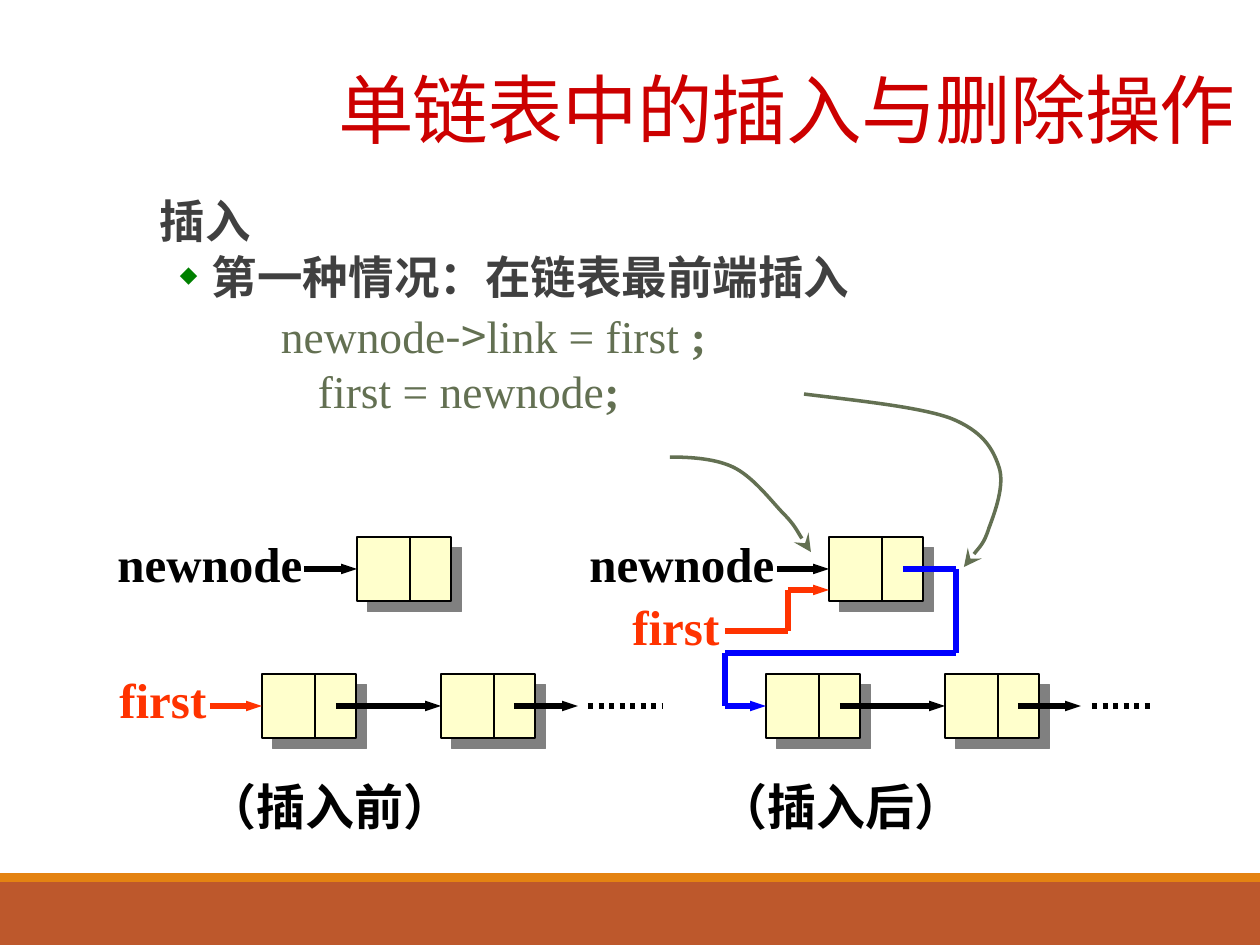
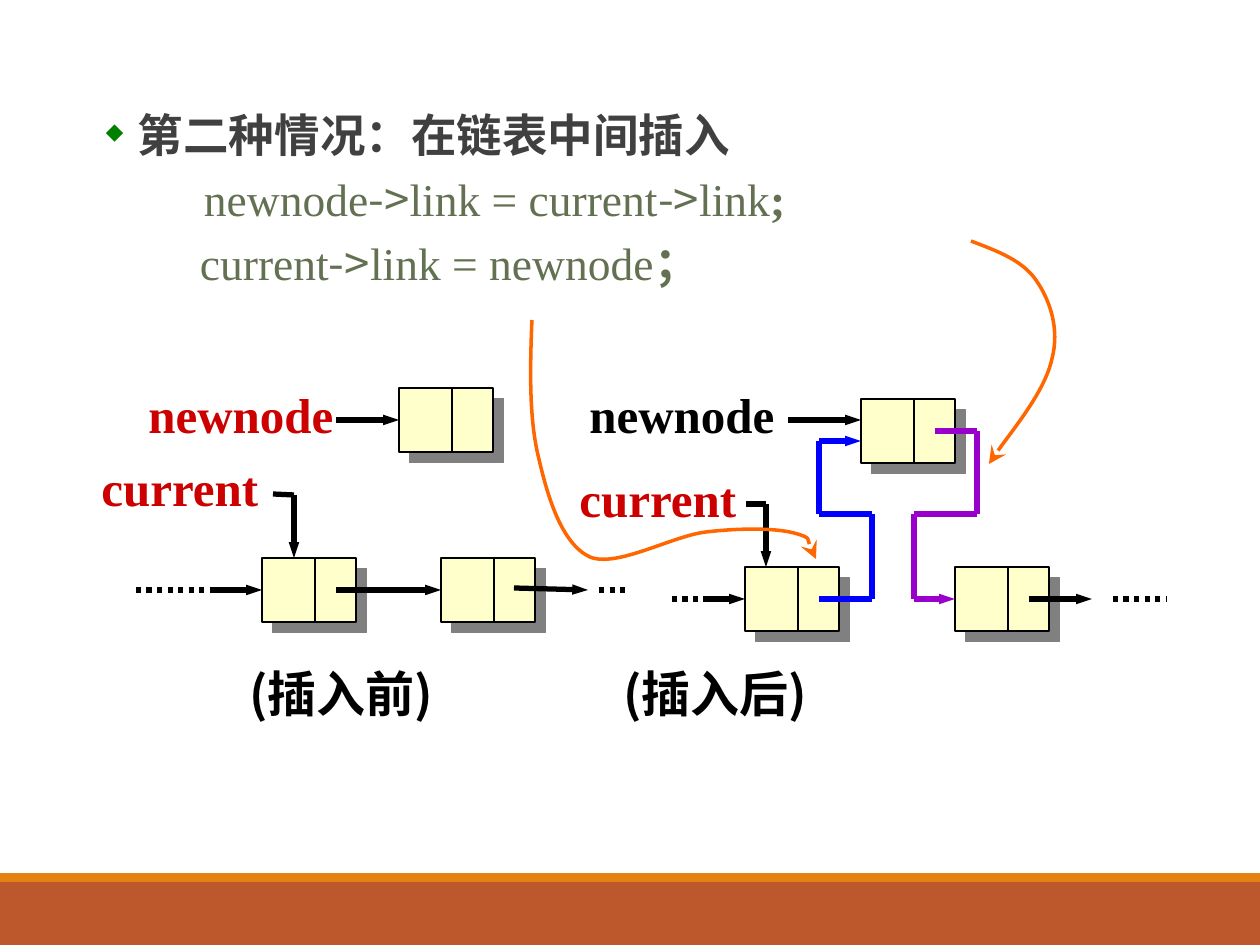
from dataclasses import dataclass
from typing import Optional

from lxml.etree import SubElement
from pptx import Presentation
from pptx.dml.color import RGBColor
from pptx.enum.dml import MSO_LINE
from pptx.enum.shapes import MSO_CONNECTOR, MSO_SHAPE
from pptx.enum.text import MSO_ANCHOR, PP_ALIGN
from pptx.oxml.ns import qn
from pptx.util import Emu, Pt

EMU_PER_PX = 914400 / 126
PAGE_WIDTH, PAGE_HEIGHT = 1260, 945
NODE_WIDTH, NODE_HEIGHT, NODE_DIVIDER = 94, 64, 53

BLACK = RGBColor(0x00, 0x00, 0x00)
BLUE = RGBColor(0x00, 0x00, 0xFF)
BULLET_GREEN = RGBColor(0x00, 0x80, 0x00)
CODE_GREEN = RGBColor(0x63, 0x70, 0x52)
CREAM = RGBColor(0xFF, 0xFF, 0xCC)
DARK_RED = RGBColor(0xCC, 0x00, 0x00)
FOOTER_AMBER = RGBColor(0xE4, 0x83, 0x12)
FOOTER_RUST = RGBColor(0xBD, 0x58, 0x2C)
GRAY = RGBColor(0x80, 0x80, 0x80)
ORANGE = RGBColor(0xFF, 0x66, 0x00)
PURPLE = RGBColor(0x99, 0x00, 0xCC)
SCARLET = RGBColor(0xFF, 0x33, 0x00)
TEXT_GRAY = RGBColor(0x40, 0x40, 0x40)

SANS = "Calibri"
SERIF = "Times New Roman"
CJK = "Noto Sans CJK SC"

Point = tuple[int, int]


@dataclass(frozen=True)
class Span:
    text: str
    font: str = SERIF
    bold: bool = False


@dataclass(frozen=True)
class BodyLine:
    spans: tuple[Span, ...]
    indent: int
    color: RGBColor = CODE_GREEN
    bullet: bool = False
    before: float = 0
    after: float = 2


@dataclass(frozen=True)
class Body:
    left: int
    top: int
    height: int
    line_spacing: float
    lines: tuple[BodyLine, ...]


@dataclass(frozen=True)
class Label:
    text: str
    left: int
    top: int
    color: RGBColor = BLACK
    font: str = SERIF
    width: int = 230
    align: PP_ALIGN = PP_ALIGN.LEFT


@dataclass(frozen=True)
class Wire:
    points: tuple[Point, ...]
    color: RGBColor = BLACK
    dotted: bool = False


@dataclass(frozen=True)
class Curve:
    """Bezier chain: a start point, then two controls and an end per piece."""
    points: tuple[Point, ...]
    color: RGBColor


@dataclass(frozen=True)
class ListSlide:
    body: Body
    nodes: tuple[Point, ...]
    wires: tuple[Wire, ...]
    labels: tuple[Label, ...]
    curves: tuple[Curve, ...]
    title: Optional[str] = None


def px(length: float) -> Emu:
    return Emu(round(length * EMU_PER_PX))


def caption(text: str, center: int, top: int, font: str) -> Label:
    width = 300
    return Label(text, center - width // 2, top, BLACK, font, width, PP_ALIGN.CENTER)


def heading(text: str) -> BodyLine:
    return BodyLine((Span(text, SANS, True),), 65, TEXT_GRAY, True, 2, 4)


def style_span(span, font: str, size: float, color: RGBColor, bold: bool = False) -> None:
    span.font.name = font
    span.font.size = Pt(size)
    span.font.bold = bold
    span.font.color.rgb = color


def add_text_box(page, left: int, top: int, width: int, height: int):
    box = page.shapes.add_textbox(px(left), px(top), px(width), px(height))
    box.text_frame.word_wrap = True
    return box


def add_rectangle(page, left: int, top: int, width: int, height: int, fill: RGBColor):
    shape = page.shapes.add_shape(
        MSO_SHAPE.RECTANGLE, px(left), px(top), px(width), px(height))
    shape.shadow.inherit = False
    shape.fill.solid()
    shape.fill.fore_color.rgb = fill
    shape.line.fill.background()
    return shape


def style_line(shape, color: RGBColor, width: float) -> None:
    shape.line.color.rgb = color
    shape.line.width = Pt(width)


def add_arrowhead(shape, kind: str, width: str, length: str) -> None:
    outline = shape.element.spPr.find(qn("a:ln"))
    SubElement(outline, qn("a:tailEnd"), type=kind, w=width, len=length)


def add_line(page, start: Point, end: Point, color: RGBColor, width: float):
    line = page.shapes.add_connector(
        MSO_CONNECTOR.STRAIGHT, *(px(value) for value in start + end))
    style_line(line, color, width)
    SubElement(line.element.spPr, qn("a:effectLst"))
    return line


def draw_footer(page) -> None:
    add_rectangle(page, 0, 882, PAGE_WIDTH, PAGE_HEIGHT - 882, FOOTER_RUST)
    add_rectangle(page, 0, 873, PAGE_WIDTH, 9, FOOTER_AMBER)


def draw_title(page, text: str) -> None:
    frame = add_text_box(page, 314, 66, 946, 94).text_frame
    frame.vertical_anchor = MSO_ANCHOR.BOTTOM
    para = frame.paragraphs[0]
    para.text = text
    para.alignment = PP_ALIGN.CENTER
    para.line_spacing = 0.85
    span = para.runs[0]
    style_span(span, SANS, 43.2, DARK_RED)
    span.font._element.set("spc", "-50")


def add_bullet(para) -> None:
    properties = para._p.get_or_add_pPr()
    properties.set("indent", str(-px(32)))
    color = SubElement(properties, qn("a:buClr"))
    SubElement(color, qn("a:srgbClr"), val=str(BULLET_GREEN))
    SubElement(properties, qn("a:buSzPct"), val="50000")
    SubElement(properties, qn("a:buChar"), char="◆")


def draw_body(page, body: Body) -> None:
    frame = add_text_box(
        page, body.left, body.top, PAGE_WIDTH - body.left, body.height).text_frame
    frame.margin_left = frame.margin_right = 0
    for index, line in enumerate(body.lines):
        para = frame.add_paragraph() if index else frame.paragraphs[0]
        para._p.get_or_add_pPr().set("marL", str(px(line.indent)))
        if line.bullet:
            add_bullet(para)
        para.line_spacing = body.line_spacing
        para.space_before = Pt(line.before if index else 0)
        para.space_after = Pt(line.after)
        for part in line.spans:
            span = para.add_run()
            span.text = part.text
            style_span(span, part.font, 26, line.color, part.bold)


def draw_node(page, left: int, top: int):
    node = add_rectangle(page, left, top, NODE_WIDTH, NODE_HEIGHT, CREAM)
    style_line(node, BLACK, 0.75)
    effects = node.element.spPr.find(qn("a:effectLst"))
    shadow = SubElement(effects, qn("a:outerShdw"), blurRad="0", dist=str(Pt(8.5)),
                        dir="2700000", algn="ctr", rotWithShape="0")
    SubElement(shadow, qn("a:srgbClr"), val=str(GRAY))
    divider = left + NODE_DIVIDER
    add_line(page, (divider, top), (divider, top + NODE_HEIGHT), BLACK, 0.75)
    return node


def draw_wire(page, wire: Wire, ports: dict) -> None:
    """Draw the segments; the last gets the arrow and joins a node's left port."""
    for start, end in zip(wire.points, wire.points[1:]):
        line = add_line(page, start, end, wire.color, 3)
    if wire.dotted:
        line.line.dash_style = MSO_LINE.ROUND_DOT
        return
    add_arrowhead(line, "triangle", "sm", "med")
    if wire.points[-1] in ports:
        line.end_connect(ports[wire.points[-1]], 1)


def draw_label(page, label: Label) -> None:
    para = add_text_box(page, label.left, label.top, label.width, 72).text_frame.paragraphs[0]
    para.text = label.text
    para.alignment = label.align
    style_span(para.runs[0], label.font, 28, label.color, True)


def draw_curve(page, curve: Curve) -> None:
    builder = page.shapes.build_freeform(*curve.points[0], scale=EMU_PER_PX)
    builder.add_line_segments(curve.points[1:], close=False)
    shape = builder.convert_to_shape()
    shape.shadow.inherit = False
    shape.fill.background()
    style_line(shape, curve.color, 2)
    add_arrowhead(shape, "stealth", "lg", "lg")
    steps = shape.element.xpath(".//a:lnTo")
    outline = steps[0].getparent()
    for first in range(0, len(steps), 3):
        bezier = SubElement(outline, qn("a:cubicBezTo"))
        for step in steps[first:first + 3]:
            bezier.append(step[0])
            outline.remove(step)


def draw_slide(deck, content: ListSlide) -> None:
    page = deck.slides.add_slide(deck.slide_layouts[6])
    draw_footer(page)
    if content.title:
        draw_title(page, content.title)
    draw_body(page, content.body)
    ports = {(left, top + NODE_HEIGHT // 2): draw_node(page, left, top)
             for left, top in content.nodes}
    for wire in content.wires:
        draw_wire(page, wire, ports)
    for label in content.labels:
        draw_label(page, label)
    for curve in content.curves:
        draw_curve(page, curve)


INSERT_AT_FRONT = ListSlide(
    title="单链表中的插入与删除操作",
    body=Body(147, 193, 324, 0.9, (
        BodyLine((Span("插入", SANS, True),), 13, TEXT_GRAY),
        heading("第一种情况：在链表最前端插入"),
        BodyLine((Span("newnode"), Span("->", CJK), Span("link = first "),
                  Span(";", bold=True)), 134, before=1.5),
        BodyLine((Span("first = newnode"), Span(";", bold=True)), 171, before=1.5))),
    nodes=((357, 537), (262, 674), (441, 674), (829, 537), (766, 674), (945, 674)),
    wires=(
        Wire(((304, 569), (357, 569))),
        Wire(((210, 706), (262, 706)), SCARLET),
        Wire(((336, 706), (441, 706))),
        Wire(((514, 706), (578, 706))),
        Wire(((588, 706), (662, 706)), dotted=True),
        Wire(((777, 569), (829, 569))),
        Wire(((725, 631), (788, 631), (788, 590), (829, 590)), SCARLET),
        Wire(((903, 569), (956, 569), (956, 653), (725, 653), (725, 706), (766, 706)), BLUE),
        Wire(((840, 706), (945, 706))),
        Wire(((1018, 706), (1081, 706))),
        Wire(((1092, 706), (1155, 706)), dotted=True)),
    labels=(
        Label("newnode", 105, 527), Label("first", 107, 663, SCARLET),
        Label("newnode", 577, 527), Label("first", 620, 590, SCARLET),
        caption("（插入前）", 330, 770, SANS), caption("（插入后）", 841, 770, SANS)),
    curves=(
        Curve(((804, 394), (861, 401), (919, 407), (950, 418), (983, 431), (993, 449),
               (999, 467), (1005, 485), (995, 512), (989, 528), (984, 544), (968, 561),
               (964, 567)), CODE_GREEN),
        Curve(((670, 457), (693, 457), (716, 459), (733, 467), (752, 476), (769, 498),
               (782, 512), (795, 525), (806, 546), (811, 552)), CODE_GREEN)))

INSERT_IN_MIDDLE = ListSlide(
    body=Body(73, 98, 746, 1.05, (
        heading("第二种情况：在链表中间插入"),
        BodyLine((Span("newnode"), Span("->", CJK), Span("link = current"),
                  Span("->", CJK), Span("link"), Span(";", bold=True)), 131, after=4),
        BodyLine((Span("current"), Span("->", CJK), Span("link = newnode"),
                  Span("；", bold=True)), 127))),
    nodes=((399, 388), (262, 558), (441, 558), (861, 399), (745, 567), (955, 567)),
    wires=(
        Wire(((336, 420), (399, 420))),
        Wire(((273, 494), (294, 495), (294, 558))),
        Wire(((136, 590), (210, 590)), dotted=True),
        Wire(((210, 590), (262, 590))),
        Wire(((336, 590), (441, 590))),
        Wire(((514, 588), (588, 590))),
        Wire(((599, 590), (630, 590)), dotted=True),
        Wire(((788, 420), (861, 420))),
        Wire(((746, 504), (766, 504), (766, 567))),
        Wire(((672, 599), (703, 599)), dotted=True),
        Wire(((703, 599), (745, 599))),
        Wire(((819, 599), (872, 599), (872, 514), (819, 514), (819, 441), (861, 441)), BLUE),
        Wire(((935, 431), (977, 431), (977, 514), (914, 514), (914, 599), (955, 599)), PURPLE),
        Wire(((1029, 599), (1092, 599))),
        Wire(((1113, 599), (1166, 599)), dotted=True)),
    labels=(
        Label("newnode", 136, 378, DARK_RED), Label("current", 89, 451, DARK_RED),
        Label("newnode", 577, 378), Label("current", 567, 462, DARK_RED),
        caption("(插入前)", 341, 657, CJK), caption("(插入后)", 715, 657, CJK)),
    curves=(
        Curve(((971, 241), (997, 251), (1022, 260), (1036, 280), (1050, 300), (1060, 329),
               (1052, 359), (1045, 391), (1000, 446), (989, 464)), ORANGE),
        Curve(((532, 320), (530, 369), (529, 420), (539, 459), (548, 498), (562, 544),
               (590, 557), (617, 568), (672, 536), (706, 532), (740, 528), (775, 528),
               (794, 533), (813, 538), (813, 556), (816, 559)), ORANGE)))


def main() -> None:
    deck = Presentation()
    deck.slide_width, deck.slide_height = px(PAGE_WIDTH), px(PAGE_HEIGHT)
    for content in (INSERT_AT_FRONT, INSERT_IN_MIDDLE):
        draw_slide(deck, content)
    deck.save("out.pptx")


if __name__ == "__main__":
    main()
